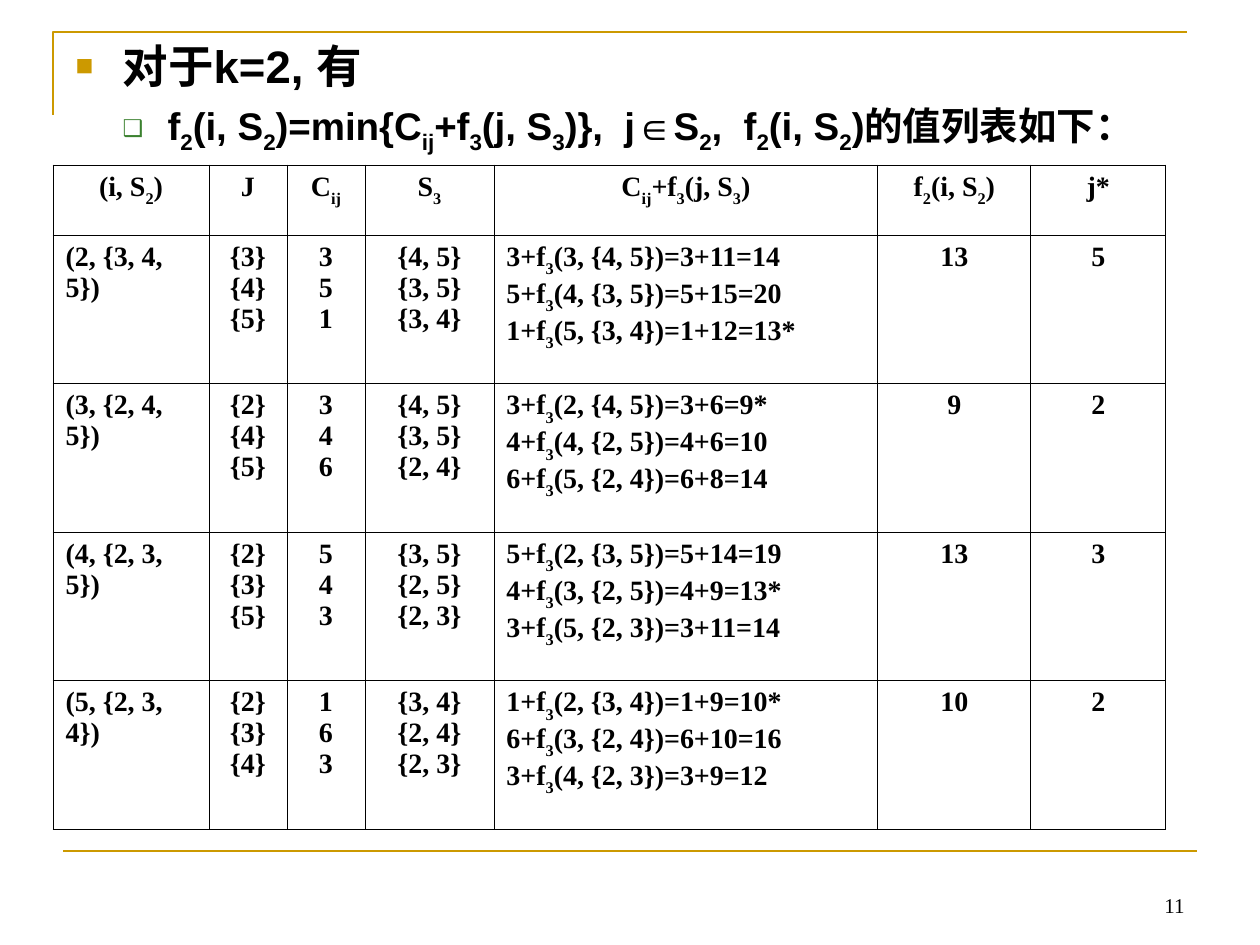
from lxml.etree import SubElement
from pptx import Presentation
from pptx.dml.color import RGBColor
from pptx.enum.shapes import MSO_CONNECTOR as Connector
from pptx.enum.text import MSO_ANCHOR as Anchor, MSO_AUTO_SIZE as AutoSize, PP_ALIGN as Align
from pptx.oxml.ns import qn
from pptx.util import Pt

PX = 914400 / 126
BLACK = RGBColor(0x00, 0x00, 0x00)
GOLD = RGBColor(0xCC, 0x99, 0x00)
GREEN = RGBColor(0x3B, 0x81, 0x2F)
SANS, SERIF = "Arial", "Times New Roman"

# In all texts, the parts between underscores are subscripts.
# text, level, size, space before, left margin px, hanging indent px, bullet, its colour, its size %
BULLETS = [
    ("对于k=2, 有", 0, 26, 0, 47, 47, "■", GOLD, 65),
    ("f_2_(i, S_2_)=min{C_ij_+f_3_(j, S_3_)},  j∈S_2_,  f_2_(i, S_2_)的值列表如下：",
     1, 22, 5.5, 92, 45, "❑", GREEN, 60),
]
HEADER = ["(i, S_2_)", "J", "C_ij_", "S_3_", "C_ij_+f_3_(j, S_3_)", "f_2_(i, S_2_)", "j*"]
ROWS = [
    ["(2, {3, 4, 5})", "{3}\n{4}\n{5}", "3\n5\n1", "{4, 5}\n{3, 5}\n{3, 4}",
     "3+f_3_(3, {4, 5})=3+11=14\n5+f_3_(4, {3, 5})=5+15=20\n1+f_3_(5, {3, 4})=1+12=13*", "13", "5"],
    ["(3, {2, 4, 5})", "{2}\n{4}\n{5}", "3\n4\n6", "{4, 5}\n{3, 5}\n{2, 4}",
     "3+f_3_(2, {4, 5})=3+6=9*\n4+f_3_(4, {2, 5})=4+6=10\n6+f_3_(5, {2, 4})=6+8=14", "9", "2"],
    ["(4, {2, 3, 5})", "{2}\n{3}\n{5}", "5\n4\n3", "{3, 5}\n{2, 5}\n{2, 3}",
     "5+f_3_(2, {3, 5})=5+14=19\n4+f_3_(3, {2, 5})=4+9=13*\n3+f_3_(5, {2, 3})=3+11=14", "13", "3"],
    ["(5, {2, 3, 4})", "{2}\n{3}\n{4}", "1\n6\n3", "{3, 4}\n{2, 4}\n{2, 3}",
     "1+f_3_(2, {3, 4})=1+9=10*\n6+f_3_(3, {2, 4})=6+10=16\n3+f_3_(4, {2, 3})=3+9=12", "10", "2"],
]
COLUMN_WIDTHS = [156, 78, 78, 129, 384, 153, 135]
LEFT_ALIGNED = (0, 4)
TABLE_LEFT, TABLE_TOP, TABLE_HEIGHT, HEADER_HEIGHT = 53, 165, 664, 70


def px(*lengths):
    return [round(length * PX) for length in lengths]


def write(para, text, font, size, bold=True, drop=-30):
    """Fill a paragraph, lowering the parts between underscores."""
    for number, part in enumerate(text.split("_")):
        if not part:
            continue
        span = para.add_run()
        span.text = part
        span.font.name, span.font.size, span.font.bold = font, Pt(size), bold
        span.font.color.rgb = BLACK
        if number % 2:
            span.font._element.set("baseline", str(drop * 1000))


def add_bullet(para, char, color, percent, margin, hanging):
    props = para._p.get_or_add_pPr()
    props.set("marL", str(px(margin)[0]))
    props.set("indent", str(-px(hanging)[0]))
    SubElement(SubElement(props, qn("a:buClr")), qn("a:srgbClr"), val=str(color))
    SubElement(props, qn("a:buSzPct"), val=str(percent * 1000))
    SubElement(props, qn("a:buFont"), typeface=SANS)
    SubElement(props, qn("a:buChar"), char=char)


def add_frame_lines(page):
    builder = page.shapes.build_freeform(53, 115, scale=PX)
    builder.add_line_segments([(53, 32), (1187, 32)], close=False)
    corner = builder.convert_to_shape()
    corner.shadow.inherit = False
    corner.fill.background()
    rule = page.shapes.add_connector(Connector.STRAIGHT, *px(63, 851, 1197, 851))
    SubElement(rule._element.spPr, qn("a:effectLst"))
    for shape in (corner, rule):
        shape.line.color.rgb = GOLD
        shape.line.width = Pt(1.5)


def fill_body(body):
    body.left, body.top, body.width, body.height = px(63, 32, 1134, 624)
    frame = body.text_frame
    frame.auto_size = AutoSize.NONE
    for number, (text, level, size, before, margin, hanging, char, color, percent) in enumerate(BULLETS):
        para = frame.add_paragraph() if number else frame.paragraphs[0]
        para.level = level
        add_bullet(para, char, color, percent, margin, hanging)
        para.space_before = Pt(before)
        write(para, text, SANS, size, drop=-25)


def add_borders(cell):
    props = cell._tc.get_or_add_tcPr()
    for side in ("a:lnL", "a:lnR", "a:lnT", "a:lnB"):
        line = SubElement(props, qn(side), w=str(Pt(0.45)))
        SubElement(SubElement(line, qn("a:solidFill")), qn("a:srgbClr"), val=str(BLACK))


def add_value_table(page):
    grid = [HEADER] + ROWS
    place = px(TABLE_LEFT, TABLE_TOP, sum(COLUMN_WIDTHS), TABLE_HEIGHT)
    table = page.shapes.add_table(len(grid), len(HEADER), *place).table
    table.first_row = table.horz_banding = False
    for column, width in zip(table.columns, px(*COLUMN_WIDTHS)):
        column.width = width
    row_height = (TABLE_HEIGHT - HEADER_HEIGHT) / len(ROWS)
    for r, texts in enumerate(grid):
        table.rows[r].height = px(row_height if r else HEADER_HEIGHT)[0]
        for c, text in enumerate(texts):
            cell = table.cell(r, c)
            add_borders(cell)
            cell.fill.background()
            for number, line in enumerate(text.split("\n")):
                frame = cell.text_frame
                para = frame.add_paragraph() if number else frame.paragraphs[0]
                para.alignment = Align.LEFT if r and c in LEFT_ALIGNED else Align.CENTER
                write(para, line, SERIF, 16)


def add_page_number(page):
    frame = page.shapes.add_textbox(*px(903, 861, 294, 63)).text_frame
    frame.word_wrap = True
    frame.vertical_anchor = Anchor.BOTTOM
    para = frame.paragraphs[0]
    para.alignment = Align.RIGHT
    write(para, "11", SERIF, 12, bold=False)


def main():
    deck = Presentation()
    deck.slide_width, deck.slide_height = px(1260, 945)
    page = deck.slides.add_slide(deck.slide_layouts[1])
    title = page.shapes.title._element
    title.getparent().remove(title)
    add_frame_lines(page)
    fill_body(page.placeholders[1])
    add_value_table(page)
    add_page_number(page)
    deck.save("out.pptx")


if __name__ == "__main__":
    main()
